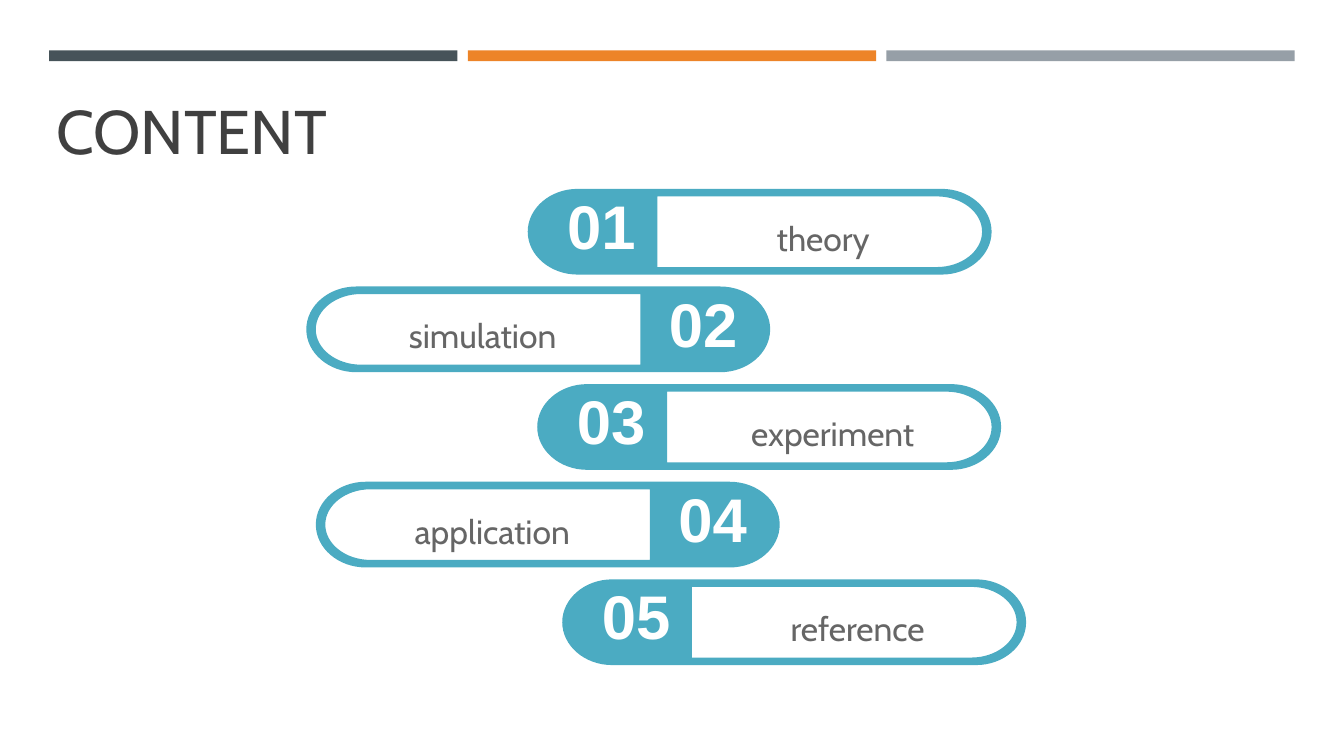
import pptx
import pptx.dml.color
import pptx.enum.shapes
import pptx.enum.text
import pptx.oxml.ns
import pptx.util
from pptx.util import Cm

ALIGN = pptx.enum.text.PP_ALIGN
ANCHOR = pptx.enum.text.MSO_ANCHOR


def paint(target, color):
    """Fill a shape with one colour, without outline or shadow."""
    target.fill.solid()
    target.fill.fore_color.rgb = pptx.dml.color.RGBColor.from_string(color)
    target.line.fill.background()
    target.shadow.inherit = False


def write(target, text, font, size, color, insets, align=ALIGN.CENTER,
          anchor=ANCHOR.MIDDLE, spacing=1.0, bold=False):
    """Put one formatted paragraph in a shape; insets are left, top, right, bottom in cm."""
    frame = target.text_frame
    frame.word_wrap = True
    frame.vertical_anchor = anchor
    (frame.margin_left, frame.margin_top,
     frame.margin_right, frame.margin_bottom) = [Cm(inset) for inset in insets]
    paragraph = frame.paragraphs[0]
    paragraph.text = text
    paragraph.alignment = align
    paragraph.line_spacing = spacing
    letters = paragraph.runs[0].font
    letters.name = font
    letters.size = pptx.util.Pt(size)
    letters.bold = bold
    letters.color.rgb = pptx.dml.color.RGBColor.from_string(color)


deck = pptx.Presentation()
deck.slide_width, deck.slide_height = Cm(33.87), Cm(19.05)
slide = deck.slides.add_slide(deck.slide_layouts[6])
shapes = slide.shapes

# Three bars along the top
for column, bar_color in enumerate(["465359", "ED8428", "969FA7"]):
    bar = shapes.add_shape(pptx.enum.shapes.MSO_SHAPE.RECTANGLE,
                           Cm(1.24 + 10.55 * column), Cm(1.27), Cm(10.29), Cm(0.27))
    paint(bar, bar_color)

# Pill outline and its window, in cm from the pill's top left corner
PILL_WIDTH, PILL_HEIGHT = 11.69, 2.16
middle = PILL_HEIGHT / 2
# Bezier points of a half circle, after its start at (0, -1)
half_circle = [(0.55, -1), (1, -0.55), (1, 0), (1, 0.55), (0.55, 1), (0, 1)]
right_side = [(10.43, 0)] + [(10.43 + 1.26 * x, middle + middle * y) for x, y in half_circle]
left_side = [(PILL_WIDTH - x, PILL_HEIGHT - y) for x, y in right_side]
window = [(3.27, middle - 0.89), (3.27, middle + 0.89), (10.31, middle + 0.89)]
window += [(10.31 + 1.14 * x, middle - 0.89 * y) for x, y in half_circle]
# Positions, among all segments, where three points form one curve
curve_starts = [1, 4, 8, 11, 16, 19]

# Agenda: pills alternate between number on the left and number on the right
agenda = [("theory", 13.3), ("simulation", 7.72), ("experiment", 13.54),
          ("application", 7.96), ("reference", 14.17)]
for row, (topic, left) in enumerate(agenda):
    top = 4.76 + 2.46 * row
    mirrored = row % 2 == 1
    contours = []
    for contour in (left_side[-1:] + right_side + left_side, window):
        contours.append([(Cm(PILL_WIDTH - x if mirrored else x), Cm(y)) for x, y in contour])
    outline, opening = contours

    builder = shapes.build_freeform(*outline[0])
    builder.add_line_segments(outline[1:], close=True)
    builder.move_to(*opening[0])
    builder.add_line_segments(opening[1:], close=True)
    pill = builder.convert_to_shape(Cm(left), Cm(top))

    # Turn the points of the round ends into curves
    segments = list(pill._element.iter(pptx.oxml.ns.qn("a:lnTo")))
    for start in curve_starts:
        curve, *others = segments[start:start + 3]
        curve.tag = pptx.oxml.ns.qn("a:cubicBezTo")
        for other in others:
            curve.append(other[0])
            other.getparent().remove(other)

    paint(pill, "4BABC2")
    topic_insets = (0.71, 0, 3.51, 0) if mirrored else (3.71, 0.13, 0.51, 0.13)
    write(pill, topic, "Cabin", 24, "666666", topic_insets, spacing=1.3)

    number_left = left + (8.77 if mirrored else 0.63)
    number = shapes.add_textbox(Cm(number_left), Cm(top + 0.43), Cm(2.46), Cm(1.3))
    write(number, f"{row + 1:02d}", "Arial", 44, "FFFFFF", (0, 0, 0, 0),
          spacing=0.8, bold=True)

# Title
title = shapes.add_textbox(Cm(1.17), Cm(1.59), Cm(30.63), Cm(2.74))
write(title, "CONTENT", "Cabin", 44, "404040", (0.25, 0.13, 0.25, 0.13),
      align=ALIGN.LEFT, anchor=ANCHOR.BOTTOM)

deck.save("out.pptx")
